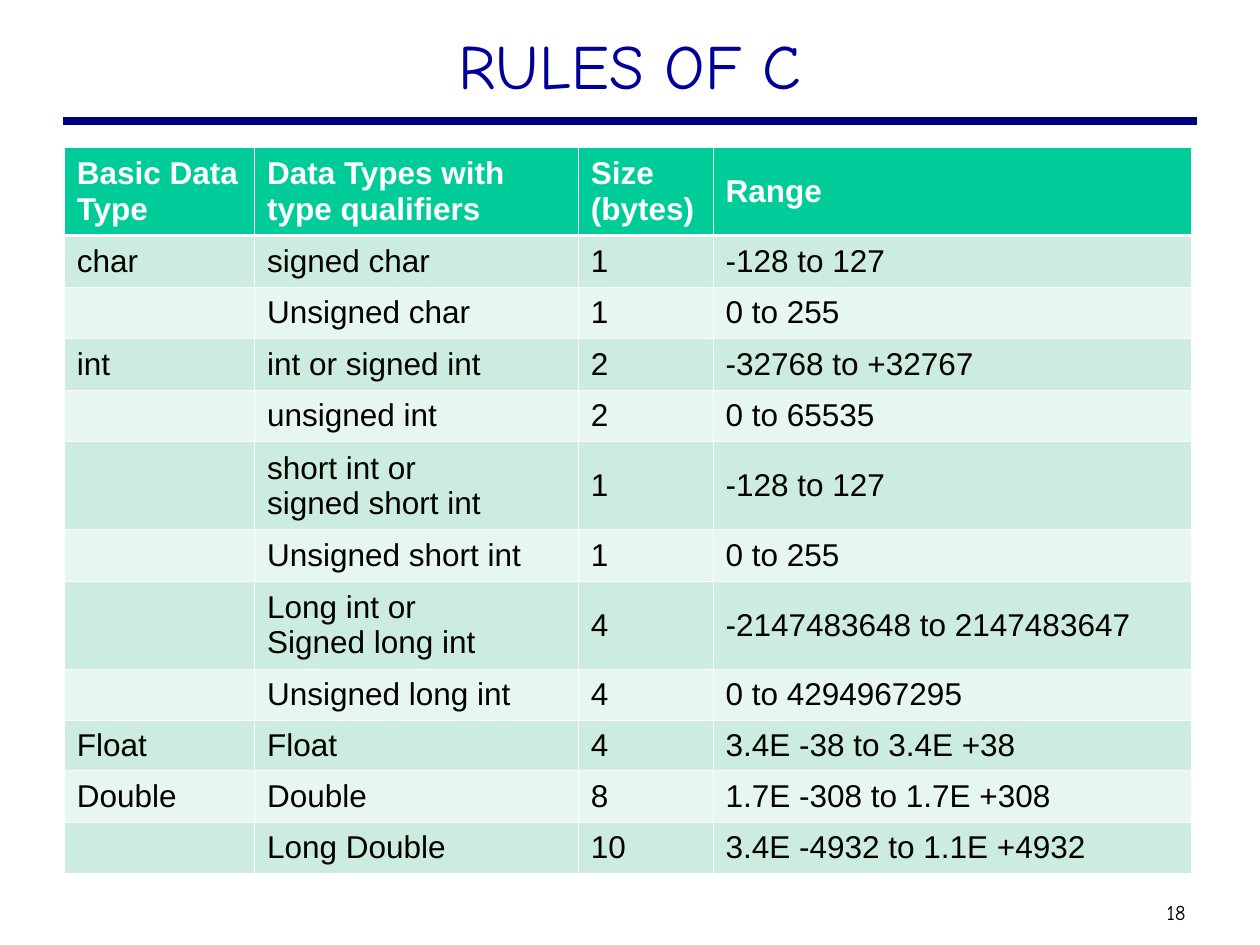
from typing import NamedTuple

from lxml.etree import SubElement
from pptx import Presentation
from pptx.dml.color import RGBColor
from pptx.enum.shapes import MSO_CONNECTOR
from pptx.enum.text import MSO_ANCHOR, PP_ALIGN
from pptx.oxml import parse_xml
from pptx.oxml.ns import nsdecls, qn
from pptx.util import Inches, Pt

HEADING_FONT = "Comic Neue"
TABLE_FONT = "Arial"
HEADER_FILL = "00CC99"
BAND_FILLS = ("CBECDE", "E7F6EF")
THIN, THICK = 0.45, 1.47


class TypeRow(NamedTuple):
    basic: str
    qualified: str
    size: str
    range: str
    height: float = 0.4


HEADER = TypeRow("Basic Data Type", "Data Types with type qualifiers",
                 "Size\n(bytes)", "Range", 0.7)
TYPES = [
    TypeRow("char", "signed char", "1", "-128 to 127", 0.41),
    TypeRow("", "Unsigned char", "1", "0 to 255"),
    TypeRow("int", "int or signed int", "2", "-32768 to +32767", 0.41),
    TypeRow("", "unsigned int", "2", "0 to 65535", 0.41),
    TypeRow("", "short int or\nsigned short int", "1", "-128 to 127", 0.7),
    TypeRow("", "Unsigned short int", "1", "0 to 255"),
    TypeRow("", "Long int or\nSigned long int", "4", "-2147483648 to 2147483647", 0.7),
    TypeRow("", "Unsigned long int", "4", "0 to 4294967295"),
    TypeRow("Float", "Float", "4", "3.4E -38 to 3.4E +38"),
    TypeRow("Double", "Double", "8", "1.7E -308 to 1.7E +308", 0.41),
    TypeRow("", "Long Double", "10", "3.4E -4932 to 1.1E +4932"),
]
COLUMN_WIDTHS = (1.51, 2.57, 1.07, 3.8)


def rgb(value: str) -> RGBColor:
    return RGBColor.from_string(value)


def style_text(tf, font: str, size: float, color: str, bold: bool = False, align=None) -> None:
    for p in tf.paragraphs:
        p.alignment = align
        p.font.size = Pt(size)
        for r in p.runs:
            r.font.name = font
            r.font.size = Pt(size)
            r.font.bold = bold
            r.font.color.rgb = rgb(color)


def set_borders(cell, top: float, bottom: float) -> None:
    """Draw white borders; they come before the fill in the cell properties."""
    tc_pr = cell._tc.get_or_add_tcPr()
    sides = (("lnL", THIN), ("lnR", THIN), ("lnT", top), ("lnB", bottom))
    for i, (tag, width) in enumerate(sides):
        tc_pr.insert(i, parse_xml(
            f'<a:{tag} {nsdecls("a")} w="{Pt(width)}"><a:solidFill>'
            f'<a:srgbClr val="FFFFFF"/></a:solidFill></a:{tag}>'))


def fill_cell(cell, text: str, row: int) -> None:
    is_header = row == 0
    cell.text_frame.text = text
    cell.vertical_anchor = MSO_ANCHOR.MIDDLE
    style_text(cell.text_frame, TABLE_FONT, 18,
               "FFFFFF" if is_header else "000000", is_header)
    cell.fill.solid()
    cell.fill.fore_color.rgb = rgb(HEADER_FILL if is_header else BAND_FILLS[(row - 1) % 2])
    set_borders(cell, THICK if row == 1 else THIN, THICK if is_header else THIN)


def add_type_table(s, left: float, top: float) -> None:
    rows = [HEADER, *TYPES]
    table = s.shapes.add_table(
        len(rows), len(COLUMN_WIDTHS), Inches(left), Inches(top),
        Inches(sum(COLUMN_WIDTHS)), Inches(sum(row.height for row in rows))).table
    for column, width in zip(table.columns, COLUMN_WIDTHS):
        column.width = Inches(width)
    for i, row in enumerate(rows):
        table.rows[i].height = Inches(row.height)
        for j, text in enumerate(row[:-1]):
            fill_cell(table.cell(i, j), text, i)


def main() -> None:
    prs = Presentation()
    prs.slide_width, prs.slide_height = Inches(10), Inches(7.5)
    s = prs.slides.add_slide(prs.slide_layouts[5])

    # Title
    title = s.shapes.title
    title.left, title.top = Inches(0.75), Inches(0.16)
    title.width, title.height = Inches(8.5), Inches(0.8)
    title.text_frame.text = "RULES OF C"
    title.text_frame.vertical_anchor = MSO_ANCHOR.TOP
    style_text(title.text_frame, HEADING_FONT, 36, "000099", align=PP_ALIGN.CENTER)

    # Rule under the title
    rule = s.shapes.add_connector(MSO_CONNECTOR.STRAIGHT, Inches(0.5), Inches(0.96),
                                  Inches(9.5), Inches(0.96))
    rule.line.color.rgb = rgb("000080")
    rule.line.width = Pt(4.5)
    SubElement(rule._element.spPr, qn("a:effectLst"))

    # Data types
    add_type_table(s, 0.51, 1.17)

    # Page number
    sp = s.shapes.add_textbox(Inches(9.1), Inches(7.09), Inches(0.47), Inches(0.3))
    tf = sp.text_frame
    tf.word_wrap = True
    tf.vertical_anchor = MSO_ANCHOR.MIDDLE
    tf.margin_left = tf.margin_right = tf.margin_top = tf.margin_bottom = Inches(0.05)
    tf.text = "18"
    style_text(tf, HEADING_FONT, 12, "000000", align=PP_ALIGN.CENTER)

    prs.save("out.pptx")


if __name__ == "__main__":
    main()
